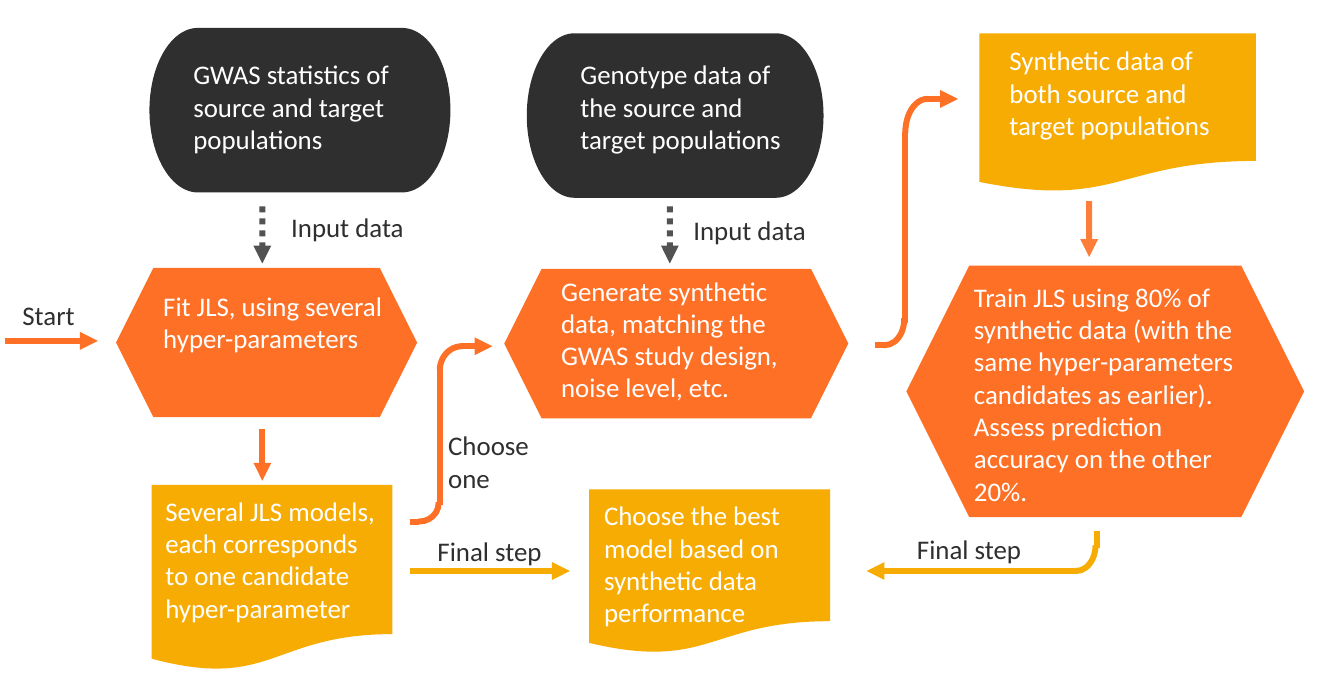
"""Build the flowchart slide for tuning JLS with synthetic data."""
import pptx
import pptx.dml.color
import pptx.enum.dml
import pptx.enum.shapes
import pptx.enum.text
import pptx.oxml.xmlchemy
import pptx.util
from pptx.oxml.ns import qn
import lxml.etree

PX = pptx.util.Inches(1) // 100
THEME = {
    "dark": pptx.dml.color.RGBColor.from_string("2F2F2F"),
    "grey": pptx.dml.color.RGBColor.from_string("404040"),
    "orange": pptx.dml.color.RGBColor.from_string("FD7026"),
    "amber": pptx.dml.color.RGBColor.from_string("F7AC04"),
    "white": pptx.dml.color.RGBColor.from_string("FFFFFF"),
    "font": {"name": "Calibri", "size": pptx.util.Pt(18)},
    "line": pptx.util.Pt(4),
}
FRAME = {
    "word_wrap": True,
    "auto_size": pptx.enum.text.MSO_AUTO_SIZE.SHAPE_TO_FIT_TEXT,
    "vertical_anchor": pptx.enum.text.MSO_ANCHOR.TOP,
}
SHAPE = pptx.enum.shapes.MSO_SHAPE
DOTTED = pptx.enum.dml.MSO_LINE.ROUND_DOT

deck = pptx.Presentation()
deck.slide_width, deck.slide_height = 1250 * PX, 650 * PX
page = deck.slides.add_slide(deck.slide_layouts[6])


def add_text(text, place, color):
    box = page.shapes.add_textbox(*(length * PX for length in place))
    for name, value in FRAME.items():
        setattr(box.text_frame, name, value)
    span = box.text_frame.paragraphs[0].add_run()
    span.text = text
    for name, value in THEME["font"].items():
        setattr(span.font, name, value)
    span.font.color.rgb = THEME[color]


def add_line(points, color, arrow=False, dash=None, opacity=100):
    connector = page.shapes.add_connector(
        pptx.enum.shapes.MSO_CONNECTOR.STRAIGHT, *(length * PX for length in points))
    connector.line.color.rgb = THEME[color]
    connector.line.width = THEME["line"]
    if dash:
        connector.line.dash_style = dash
    properties = connector._element.spPr
    outline = properties.find(qn("a:ln"))
    if opacity < 100:
        fill_color = outline.find(".//" + qn("a:srgbClr"))
        lxml.etree.SubElement(fill_color, qn("a:alpha"), val=str(opacity * 1000))
    if arrow:
        lxml.etree.SubElement(outline, qn("a:tailEnd"), type="triangle")
    lxml.etree.SubElement(properties, qn("a:effectLst"))


steps = [
    (SHAPE.FLOWCHART_TERMINATOR, "dark", (139, 26, 280, 153), (170, 49, 220, 101),
     "GWAS statistics of source and target populations"),
    (SHAPE.FLOWCHART_TERMINATOR, "dark", (490, 31, 276, 153), (530, 49, 210, 101),
     "Genotype data of the source and target populations"),
    (SHAPE.FLOWCHART_DOCUMENT, "amber", (911, 31, 257, 148), (929, 36, 221, 101),
     "Synthetic data of both source and target populations"),
    (SHAPE.HEXAGON, "orange", (108, 249, 280, 139), (142, 264, 224, 101),
     "Fit JLS, using several hyper-parameters"),
    (SHAPE.HEXAGON, "orange", (469, 250, 320, 139), (512, 250, 255, 131),
     "Generate synthetic data, matching the GWAS study design, noise level, etc."),
    (SHAPE.HEXAGON, "orange", (843, 247, 370, 234), (896, 256, 275, 222),
     "Train JLS using 80% of synthetic data (with the same hyper-parameters "
     "candidates as earlier). Assess prediction accuracy on the other 20%."),
    (SHAPE.FLOWCHART_DOCUMENT, "amber", (141, 451, 224, 173), (144, 455, 224, 131),
     "Several JLS models, each corresponds to one candidate hyper-parameter"),
    (SHAPE.FLOWCHART_DOCUMENT, "amber", (548, 455, 224, 153), (552, 459, 224, 131),
     "Choose the best model based on synthetic data performance"),
]
for kind, color, place, text_place, text in steps:
    step = page.shapes.add_shape(kind, *(length * PX for length in place))
    step.shadow.inherit = False
    step.fill.solid()
    step.fill.fore_color.rgb = THEME[color]
    step.line.fill.background()
    add_text(text, text_place, "white")

arrows = [
    ((5, 317, 91, 317), "orange", None, 100),
    ((244, 399, 244, 447), "orange", None, 100),
    ((381, 531, 530, 531), "amber", None, 100),
    ((1013, 187, 1013, 239), "orange", None, 90),
    ((244, 192, 244, 245), "grey", DOTTED, 90),
    ((623, 192, 623, 245), "grey", DOTTED, 90),
    ((861, 92, 891, 92), "orange", None, 100),
    ((428, 322, 458, 322), "orange", None, 100),
    ((1001, 531, 806, 531), "amber", None, 100),
]
for points, color, dash, opacity in arrows:
    add_line(points, color, True, dash, opacity)

links = [
    ((814, 321, 823, 321), "orange"),
    ((842, 123, 842, 300), "orange"),
    ((381, 485, 390, 485), "orange"),
    ((409, 344, 409, 470), "orange"),
    ((1020, 494, 1020, 510), "amber"),
]
for points, color in links:
    add_line(points, color)

bends = [
    ((805, 273, 36, 48), "flipV", (159.75, 2.15), "orange"),
    ((842, 92, 41, 63), "flipH", (161.69, 215.69), "orange"),
    ((372, 451, 36, 34), "flipV", (159.75, 2.15), "orange"),
    ((409, 322, 41, 45), "flipH", (161.69, 215.69), "orange"),
    ((983, 483, 36, 48), "flipV", (159.75, 215.69), "amber"),
]
for place, flip, angles, color in bends:
    bend = page.shapes.add_shape(SHAPE.ARC, *(length * PX for length in place))
    bend.shadow.inherit = False
    bend.fill.background()
    bend.line.color.rgb = THEME[color]
    bend.line.width = THEME["line"]
    bend._element.spPr.find(qn("a:xfrm")).set(flip, "1")
    for index, angle in enumerate(angles):
        bend.adjustments[index] = angle

labels = [
    ("Start", 11, 273, 40),
    ("Input data", 261, 191, 40),
    ("Input data", 635, 194, 40),
    ("Choose one", 407, 394, 71),
    ("Final step", 397, 492, 40),
    ("Final step", 843, 490, 40),
]
for text, left, top, height in labels:
    add_text(text, (left, top, 135, height), "dark")

deck.save("out.pptx")
